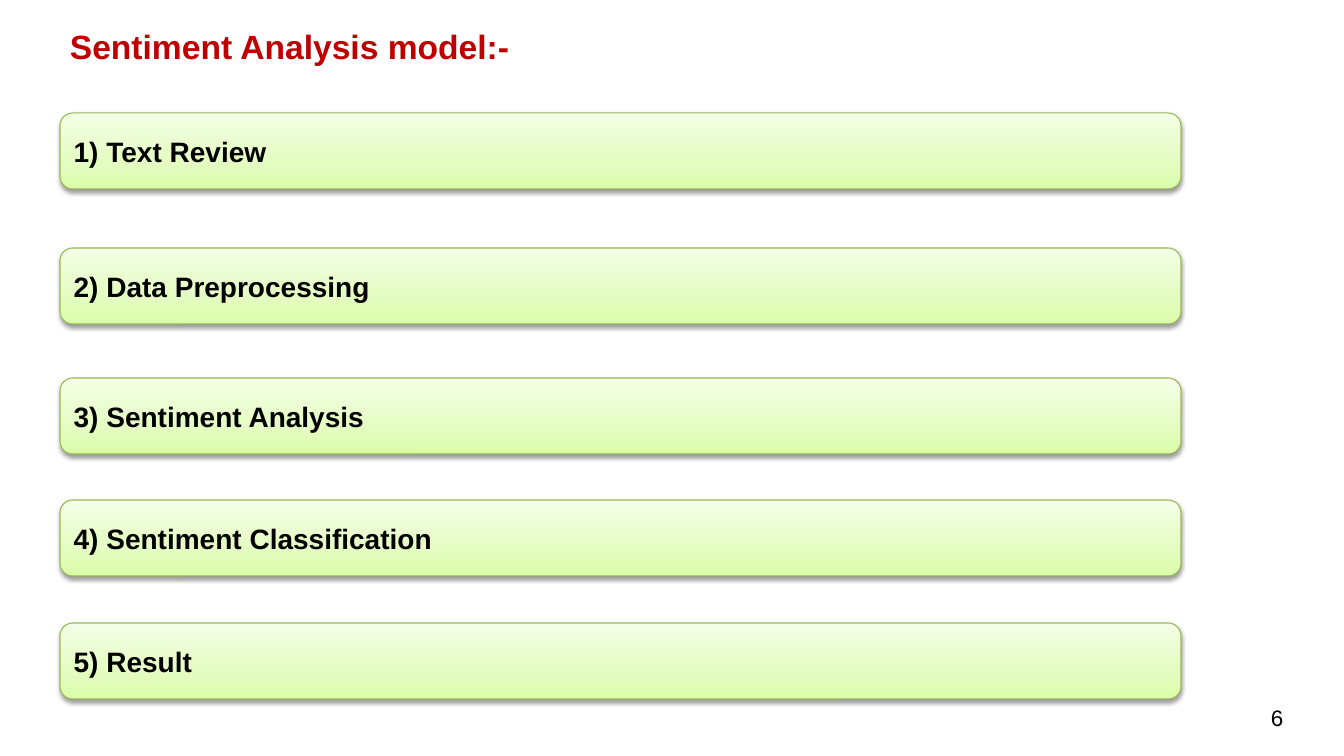
from lxml import etree
from pptx import Presentation, util as u
from pptx.dml.color import RGBColor
from pptx.enum import shapes, text
from pptx.oxml import parse_xml

PX = 12192000 / 1344
NS = 'xmlns:a="http://schemas.openxmlformats.org/drawingml/2006/main"'
GRADIENT = f'''<a:gradFill {NS} rotWithShape="1"><a:gsLst>
<a:gs pos="0"><a:srgbClr val="DAFDA7"/></a:gs>
<a:gs pos="35000"><a:srgbClr val="E4FCC2"/></a:gs>
<a:gs pos="100000"><a:srgbClr val="F5FFE7"/></a:gs>
</a:gsLst><a:lin ang="16200000" scaled="1"/></a:gradFill>'''
SHADOW = f'''<a:outerShdw {NS} blurRad="40000" dist="20000" dir="5400000" rotWithShape="0">
<a:srgbClr val="000000"><a:alpha val="38000"/></a:srgbClr></a:outerShdw>'''


def box(*lengths):
    return [u.Emu(round(n * PX)) for n in lengths]


def write(tf, words, size, color, bold):
    p = tf.paragraphs[0]
    p.alignment = text.PP_ALIGN.LEFT
    r = p.add_run()
    r.text = words
    r.font.name = "Arial"
    r.font.size = u.Pt(size)
    r.font.bold = bold
    r.font.color.rgb = RGBColor.from_string(color)


prs = Presentation()
prs.slide_width, prs.slide_height = box(1344, 756)
s = prs.slides.add_slide(prs.slide_layouts[6])

steps = [
    (113, "1) Text Review"),
    (248, "2) Data Preprocessing"),
    (378, "3) Sentiment Analysis"),
    (500, "4) Sentiment Classification"),
    (623, "5) Result"),
]
for top, words in steps:
    sp = s.shapes.add_shape(shapes.MSO_SHAPE.ROUNDED_RECTANGLE, *box(60, top, 1121, 76))
    sp.line.color.rgb = RGBColor.from_string("98B955")
    sp.line.width = u.Pt(0.75)
    sp.shadow.inherit = False
    spPr = sp._element.spPr
    spPr.find("{*}ln").addprevious(parse_xml(GRADIENT))
    spPr.find("{*}effectLst").append(parse_xml(SHADOW))
    sp.text_frame.vertical_anchor = text.MSO_ANCHOR.MIDDLE
    write(sp.text_frame, words, 20, "000000", True)

labels = [
    (60, 21, 464, 92, "Sentiment Analysis model:-", 24, "C00000", True),
    (1261, 699, 33, 37, "6", 16, "000000", False),
]
for left, top, width, height, words, size, color, bold in labels:
    sp = s.shapes.add_textbox(*box(left, top, width, height))
    sp.text_frame.word_wrap = False
    write(sp.text_frame, words, size, color, bold)

prs.save("out.pptx")
